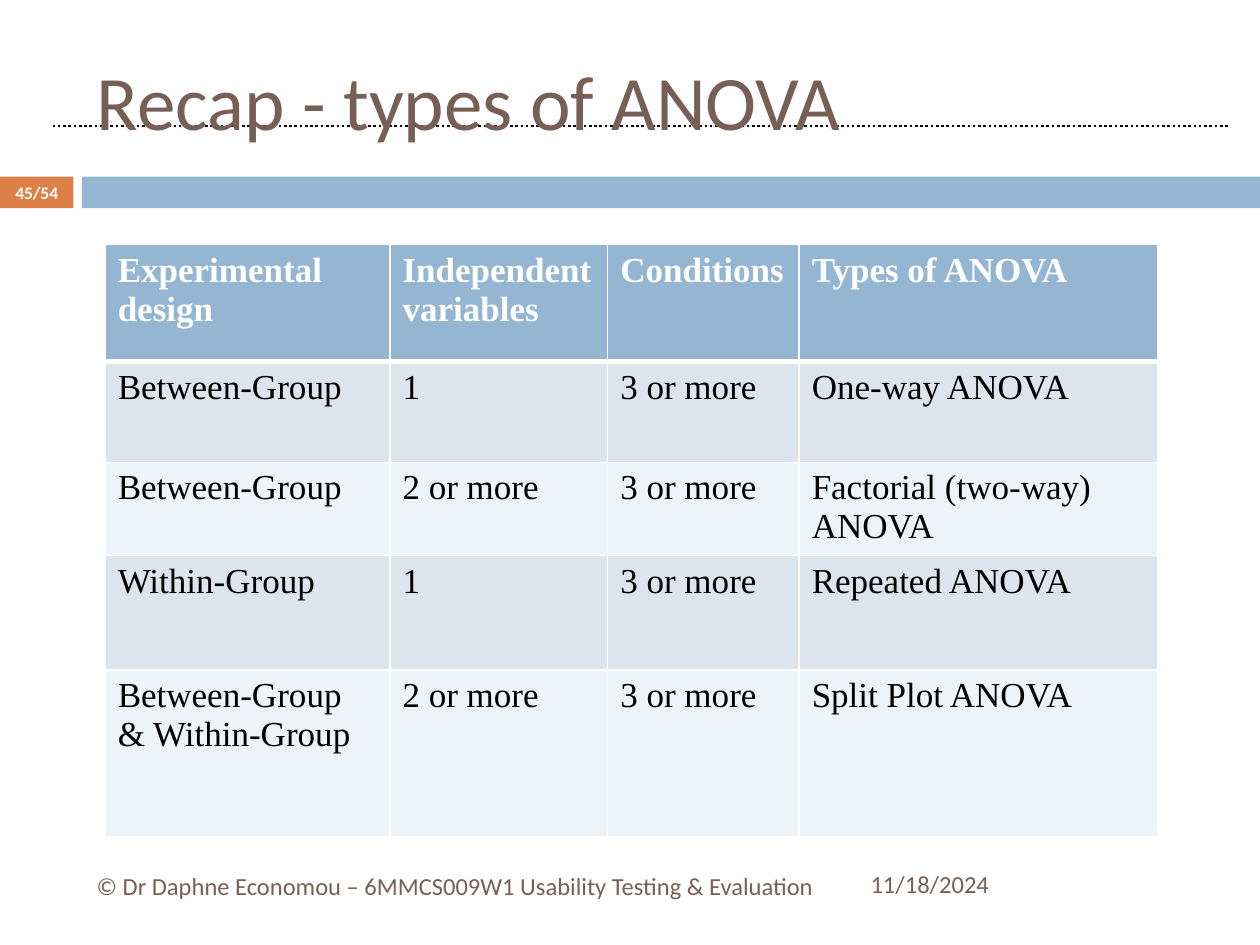
from lxml.etree import SubElement
from pptx import Presentation
from pptx.dml.color import RGBColor
from pptx.enum.dml import MSO_LINE
from pptx.enum.shapes import MSO_CONNECTOR, MSO_SHAPE
from pptx.enum.text import MSO_ANCHOR, MSO_AUTO_SIZE, PP_ALIGN
from pptx.oxml.ns import qn
from pptx.util import Cm, Pt

COLOURS = {
    "brown": "775F55",
    "orange": "DD8047",
    "blue": "94B6D2",
    "band_dark": "DCE5EE",
    "band_light": "EEF3F7",
    "white": "FFFFFF",
    "black": "000000",
}
TITLE_ONLY = 5
COLUMN_WIDTHS = [5.74, 4.39, 3.86, 7.22]
ROW_HEIGHTS = [2.36, 2.03, 1.88, 2.31, 3.35]
ANOVA_TYPES = [
    ["Experimental design", "Independent variables", "Conditions", "Types of ANOVA"],
    ["Between-Group", "1", "3 or more", "One-way ANOVA"],
    ["Between-Group", "2 or more", "3 or more", "Factorial (two-way) ANOVA"],
    ["Within-Group", "1", "3 or more", "Repeated ANOVA"],
    ["Between-Group & Within-Group", "2 or more", "3 or more", "Split Plot ANOVA"],
]


def colour(name):
    return RGBColor.from_string(COLOURS[name])


class SlideBuilder:
    """Holds the slide and its style; all lengths are in centimetres."""

    body_font = "Calibri"
    table_font = "Times New Roman"

    def __init__(self, slide):
        self.slide = slide
        self.shapes = slide.shapes

    def set_text(self, frame, text, size, ink, font=None, bold=False, align=PP_ALIGN.LEFT):
        frame.word_wrap = True
        paragraph = frame.paragraphs[0]
        paragraph.text = text
        paragraph.alignment = align
        paragraph.font.name = font or self.body_font
        paragraph.font.size = Pt(size)
        paragraph.font.bold = bold
        paragraph.font.color.rgb = colour(ink)

    def title(self, text, left, top, width, height):
        title = self.shapes.title
        title.left, title.top = Cm(left), Cm(top)
        title.width, title.height = Cm(width), Cm(height)
        title.text_frame.auto_size = MSO_AUTO_SIZE.NONE
        title.text_frame.vertical_anchor = MSO_ANCHOR.MIDDLE
        self.set_text(title.text_frame, text, 44, "brown")
        title.element.getparent().append(title.element)  # in front of the dotted line

    def bar(self, fill, left, top, width, height):
        bar = self.shapes.add_shape(
            MSO_SHAPE.RECTANGLE, Cm(left), Cm(top), Cm(width), Cm(height))
        bar.shadow.inherit = False
        bar.fill.solid()
        bar.fill.fore_color.rgb = colour(fill)
        bar.line.fill.background()

    def dotted_line(self, left, right, y):
        line = self.shapes.add_connector(
            MSO_CONNECTOR.STRAIGHT, Cm(left), Cm(y), Cm(right), Cm(y))
        line.line.color.rgb = colour("black")
        line.line.width = Pt(1.5)
        line.line.dash_style = MSO_LINE.ROUND_DOT
        SubElement(line.element.spPr, qn("a:effectLst"))

    def label(self, text, left, top, width, height, size=14, ink="brown", **style):
        box = self.shapes.add_textbox(Cm(left), Cm(top), Cm(width), Cm(height))
        box.text_frame.vertical_anchor = MSO_ANCHOR.MIDDLE
        self.set_text(box.text_frame, text, size, ink, **style)

    def border(self, cell, side, points):
        properties = cell._tc.get_or_add_tcPr()
        line = SubElement(properties, qn(f"a:ln{side}"), w=str(Pt(points)))
        fill = SubElement(line, qn("a:solidFill"))
        SubElement(fill, qn("a:srgbClr"), val=COLOURS["white"])

    def table(self, rows, left, top, widths, heights):
        table = self.shapes.add_table(
            len(rows), len(widths), Cm(left), Cm(top),
            Cm(sum(widths)), Cm(sum(heights))).table
        for column, width in zip(table.columns, widths):
            column.width = Cm(width)
        for index, (row, height, texts) in enumerate(zip(table.rows, heights, rows)):
            row.height = Cm(height)
            header = index == 0
            band = "band_dark" if index % 2 else "band_light"
            borders = {"L": 1, "R": 1, "T": 3 if index == 1 else 1, "B": 3 if header else 1}
            for cell, text in zip(row.cells, texts):
                for side, points in borders.items():
                    self.border(cell, side, points)
                cell.fill.solid()
                cell.fill.fore_color.rgb = colour("blue" if header else band)
                self.set_text(cell.text_frame, text, 20, "white" if header else "black",
                              font=self.table_font, bold=header)


def main():
    presentation = Presentation()
    presentation.slide_width, presentation.slide_height = Cm(25.4), Cm(19.05)
    layout = presentation.slide_layouts[TITLE_ONLY]
    builder = SlideBuilder(presentation.slides.add_slide(layout))

    builder.bar("orange", 0, 3.56, 1.48, 0.64)
    builder.bar("blue", 1.65, 3.56, 23.75, 0.64)
    builder.dotted_line(1.06, 24.77, 2.54)
    builder.label("11/18/2024", 17.3, 17.3, 7.42, 1.02)
    builder.title("Recap - types of ANOVA", 1.7, 0.64, 22.66, 2.74)
    builder.table(ANOVA_TYPES, 2.12, 4.93, COLUMN_WIDTHS, ROW_HEIGHTS)
    builder.label("© Dr Daphne Economou – 6MMCS009W1 Usability Testing & Evaluation",
                  1.7, 17.35, 15.06, 1.02)
    builder.label("45/54", 0, 3.54, 1.48, 0.69, size=10, ink="white",
                  bold=True, align=PP_ALIGN.CENTER)

    presentation.save("out.pptx")


if __name__ == "__main__":
    main()
